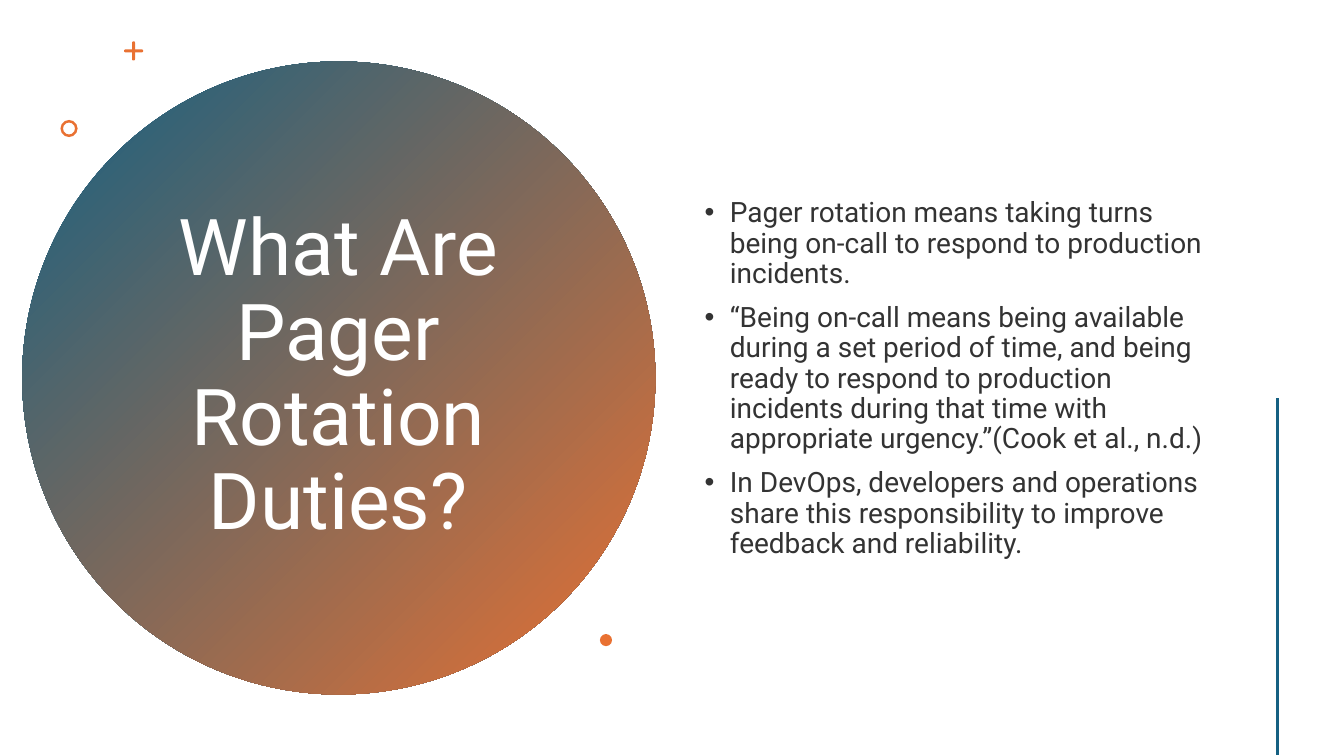
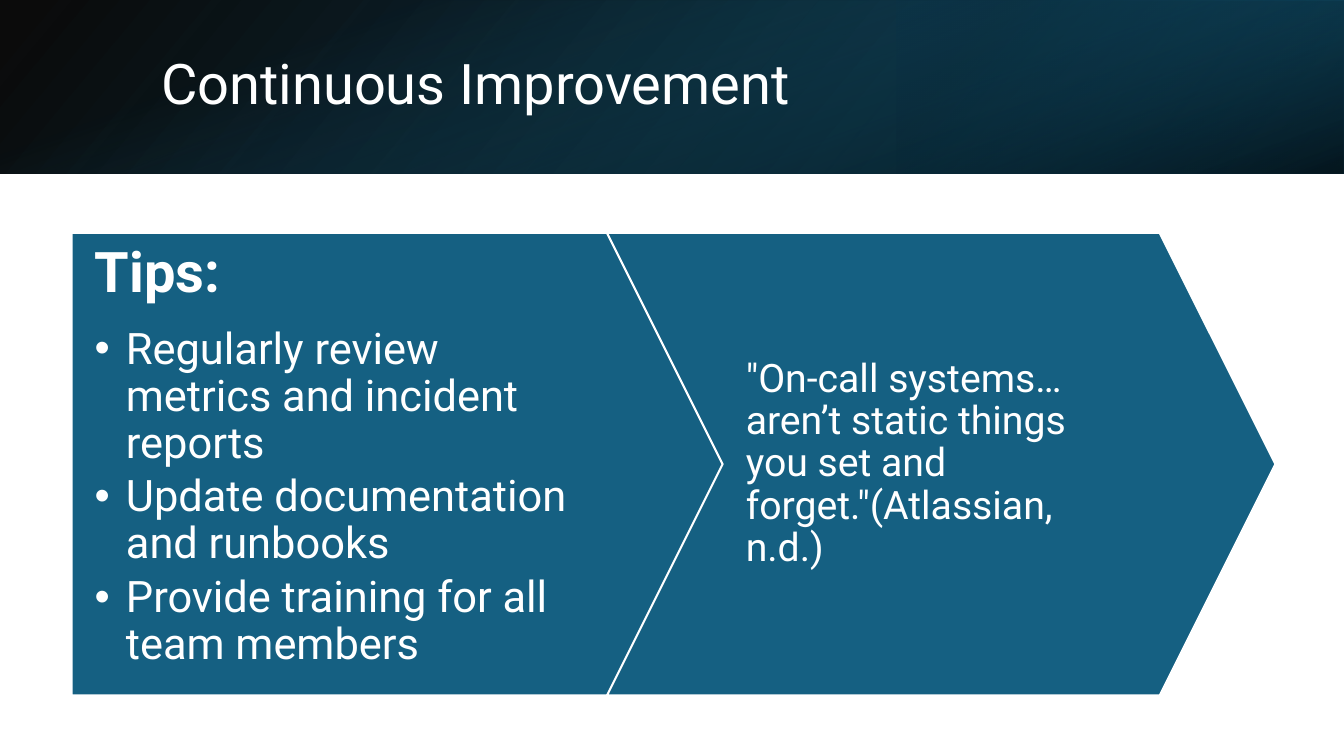
"""Build two slides on pager rotation duties and continuous improvement."""
from lxml import etree
from pptx import Presentation
from pptx.dml.color import RGBColor
from pptx.enum.shapes import MSO_CONNECTOR, MSO_SHAPE
from pptx.enum.text import MSO_ANCHOR, PP_ALIGN
from pptx.oxml.ns import qn
from pptx.util import Inches, Pt

RECT, OVAL, DONUT = MSO_SHAPE.RECTANGLE, MSO_SHAPE.OVAL, MSO_SHAPE.DONUT
ROUNDED, PLATE, CHEVRON = MSO_SHAPE.ROUNDED_RECTANGLE, MSO_SHAPE.PENTAGON, MSO_SHAPE.CHEVRON
STRAIGHT = MSO_CONNECTOR.STRAIGHT
TOP, MIDDLE = MSO_ANCHOR.TOP, MSO_ANCHOR.MIDDLE
LEFT, CENTER = PP_ALIGN.LEFT, PP_ALIGN.CENTER

FONT = "Roboto"
BLUE = RGBColor(0x15, 0x60, 0x82)
DEEP_BLUE = RGBColor(0x10, 0x48, 0x62)
NAVY = RGBColor(0x0B, 0x30, 0x41)
ORANGE = RGBColor(0xE9, 0x71, 0x32)
BLACK = RGBColor(0x00, 0x00, 0x00)
CHARCOAL = RGBColor(0x33, 0x33, 0x33)
WHITE = RGBColor(0xFF, 0xFF, 0xFF)

DUTIES_TITLE = "What Are Pager Rotation Duties?"
DUTIES = [
    "Pager rotation means taking turns being on-call to respond to production incidents.",
    "“Being on-call means being available during a set period of time, and being ready "
    "to respond to production incidents during that time with appropriate urgency.”"
    "(Cook et al., n.d.)",
    "In DevOps, developers and operations share this responsibility to improve "
    "feedback and reliability.",
]
IMPROVE_TITLE = "Continuous Improvement"
TIPS_HEADING = "Tips:"
TIPS = [
    "Regularly review metrics and incident reports",
    "Update documentation and runbooks",
    "Provide training for all team members",
]
QUOTE = "\"On-call systems…aren’t static things you set and forget.\"(Atlassian, n.d.)"

ACCENTS = [
    (ROUNDED, (1.23, 0.49, 0.19, 0.03), 0.5),
    (ROUNDED, (1.31, 0.41, 0.03, 0.19), 0.5),
    (DONUT, (0.6, 1.19, 0.17, 0.17), 0.15),
    (OVAL, (5.95, 6.29, 0.12, 0.12), None),
]
BAND_LAYERS = [
    ((0, 0, 13.33, 1.72), 0, True, 140, [(0, BLACK, 96), (100, DEEP_BLUE, 100)]),
    ((8.89, 0, 4.44, 1.72), 180, True, 320, [(19, NAVY, 68), (100, BLUE, 79)]),
    ((5.8, -5.8, 1.72, 13.33), 90, False, 340, [(23, BLUE, 0), (99, BLACK, 74)]),
]


def inches(values):
    return [Inches(v) for v in values]


def add_shape(slide, kind, box, fill=None, line=None, adj=None):
    sp = slide.shapes.add_shape(kind, *inches(box))
    sp.shadow.inherit = False
    if fill is None:
        sp.fill.background()
    else:
        sp.fill.solid()
        sp.fill.fore_color.rgb = fill
    if line is None:
        sp.line.fill.background()
    else:
        sp.line.color.rgb = line
        sp.line.width = Pt(1.5)
    if adj is not None:
        sp.adjustments[0] = adj
    return sp


def add_gradient(slide, kind, box, angle, stops):
    sp = add_shape(slide, kind, box)
    grad = etree.Element(qn("a:gradFill"), rotWithShape="1")
    stop_list = etree.SubElement(grad, qn("a:gsLst"))
    for pos, color, alpha in stops:
        gs = etree.SubElement(stop_list, qn("a:gs"), pos=str(pos * 1000))
        clr = etree.SubElement(gs, qn("a:srgbClr"), val=str(color))
        etree.SubElement(clr, qn("a:alpha"), val=str(alpha * 1000))
    etree.SubElement(grad, qn("a:lin"), ang=str(angle * 60000), scaled="0")
    sp_pr = sp._element.spPr
    sp_pr.replace(sp_pr.find(qn("a:noFill")), grad)
    return sp


def set_frame(sp, anchor, insets=(0.1, 0.05, 0.1, 0.05)):
    tf = sp.text_frame
    tf.word_wrap = True
    tf.vertical_anchor = anchor
    tf.margin_left, tf.margin_top, tf.margin_right, tf.margin_bottom = inches(insets)
    return tf


def add_text(tf, text, size, color=WHITE, align=LEFT, bold=False, indent=0, before=0, after=0):
    first = not tf.text
    p = tf.paragraphs[0] if first else tf.add_paragraph()
    p.text = text
    if indent:
        p_pr = p._p.get_or_add_pPr()
        p_pr.set("marL", str(Inches(indent)))
        p_pr.set("indent", str(-Inches(indent)))
        etree.SubElement(p_pr, qn("a:buFont"), typeface="Arial")
        etree.SubElement(p_pr, qn("a:buChar"), char="•")
    p.alignment = align
    p.line_spacing = 0.9
    p.space_before = Pt(0 if first else before)
    p.space_after = Pt(after)
    font = p.runs[0].font
    font.name, font.size, font.bold = FONT, Pt(size), bold
    font.color.rgb = color


def add_title(slide, box, text, size, align=LEFT):
    tf = set_frame(slide.shapes.add_textbox(*inches(box)), MIDDLE)
    add_text(tf, text, size, align=align)


def build_duties(slide):
    add_gradient(slide, OVAL, (0.22, 0.61, 6.28, 6.28), 45, [(0, BLUE, 100), (100, ORANGE, 100)])
    add_title(slide, (1.36, 1.41, 3.99, 4.67), DUTIES_TITLE, 56, CENTER)
    for kind, box, adj in ACCENTS:
        add_shape(slide, kind, box, ORANGE, adj=adj)
    tf = set_frame(slide.shapes.add_textbox(*inches((6.89, 0.57, 5.22, 6.38))), MIDDLE)
    for duty in DUTIES:
        add_text(tf, duty, 20, CHARCOAL, indent=0.25, before=10)
    rule = slide.shapes.add_connector(STRAIGHT, *inches((12.67, 3.95, 12.67, 7.49)))
    rule.line.color.rgb = BLUE
    rule.line.width = Pt(2)
    etree.SubElement(rule._element.spPr, qn("a:effectLst"))


def build_improvement(slide):
    for box, rotation, flipped, angle, stops in BAND_LAYERS:
        sp = add_gradient(slide, RECT, box, angle, stops)
        sp.rotation = rotation
        if flipped:
            sp._element.spPr.find(qn("a:xfrm")).set("flipH", "1")
    add_title(slide, (1.5, 0.38, 10.98, 0.96), IMPROVE_TITLE, 40)

    tips, quote = [
        add_shape(slide, kind, (left, 2.31, 6.63, 4.59), BLUE, WHITE, 0.25)
        for kind, left in ((PLATE, 0.71), (CHEVRON, 6.02))
    ]
    tf = set_frame(tips, TOP, (0.23, 0.11, 0.94, 0.11))
    add_text(tf, TIPS_HEADING, 40, bold=True, after=16)
    for tip in TIPS:
        add_text(tf, tip, 31, indent=0.31, after=5)
    add_text(set_frame(quote, MIDDLE, (0.23, 0.08, 0.23, 0.08)), QUOTE, 28)


def main():
    prs = Presentation()
    prs.slide_width, prs.slide_height = inches((13.33, 7.5))
    for build in (build_duties, build_improvement):
        build(prs.slides.add_slide(prs.slide_layouts[6]))
    prs.save("out.pptx")


if __name__ == "__main__":
    main()
